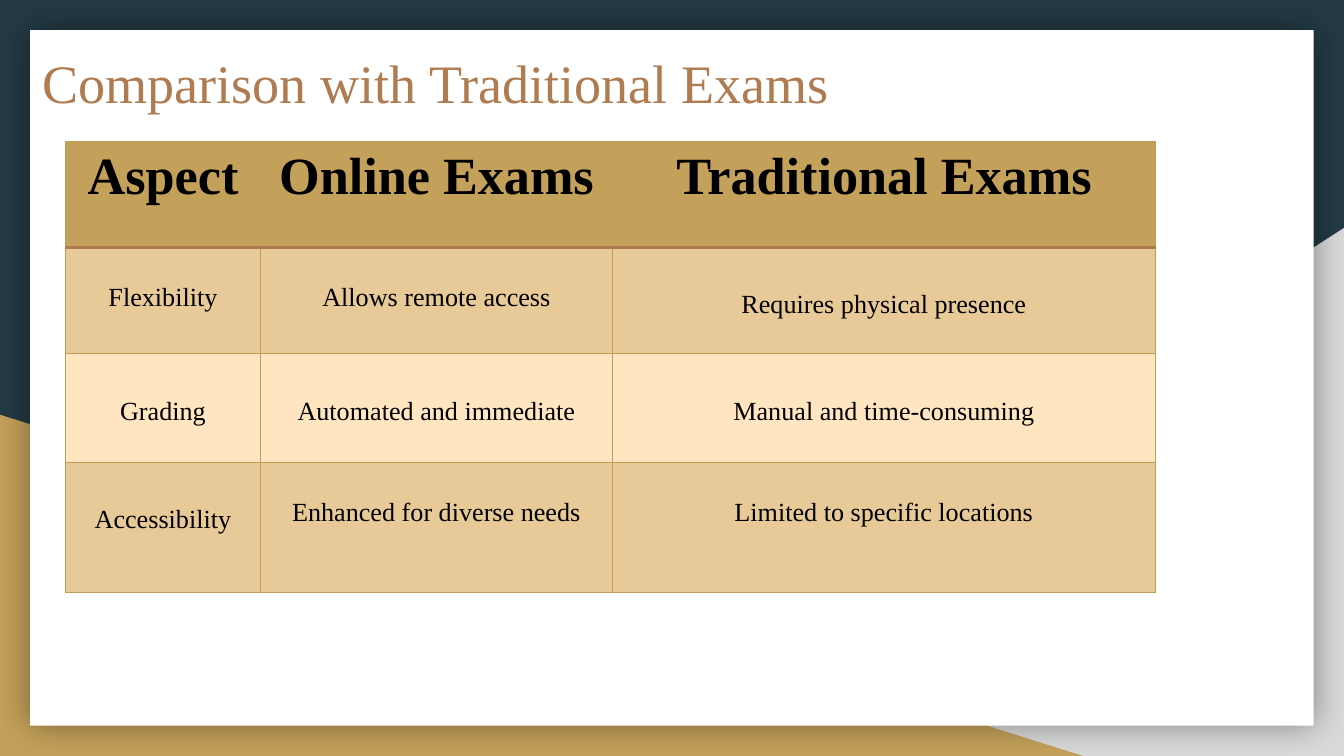
from collections import namedtuple
from dataclasses import dataclass

from lxml.etree import SubElement
from pptx import Presentation
from pptx.dml.color import RGBColor
from pptx.enum.shapes import MSO_SHAPE as Preset
from pptx.enum.text import MSO_ANCHOR as Anchor, PP_ALIGN as Align
from pptx.oxml.ns import qn
from pptx.util import Cm, Pt

Box = namedtuple("Box", "left top width height")


@dataclass(frozen=True)
class Theme:
    font: str = "Times New Roman"
    night: str = "233A44"
    silver: str = "D9D9D9"
    gold: str = "C4A15A"
    paper: str = "FFFFFF"
    bronze: str = "AF7B51"
    ink: str = "000000"
    band: str = "E7CA97"
    cream: str = "FFE5C0"
    grid: str = "C29E55"
    title_size: int = 29
    header_size: int = 28
    body_size: int = 14


THEME = Theme()
HEADINGS = ["Aspect", "Online Exams", "Traditional Exams"]
HIGH, LOW = 0.68, 0.82
COMPARISON = [
    [("Flexibility", HIGH), ("Allows remote access", HIGH),
     ("Requires physical presence", LOW)],
    [("Grading", LOW), ("Automated and immediate", LOW),
     ("Manual and time-consuming", LOW)],
    [("Accessibility", LOW), ("Enhanced for diverse needs", HIGH),
     ("Limited to specific locations", HIGH)],
]
COLUMN_SHARES = [1.45, 2.62, 4.04]
ROW_SHARES = [0.79, 0.79, 0.81, 0.97]


def rgb(color):
    return RGBColor.from_string(color)


def cm_box(box):
    return [Cm(length) for length in box]


def add_run(paragraph, text, size, color, bold=False):
    run = paragraph.add_run()
    run.text = text
    run.font.name = THEME.font
    run.font.size = Pt(size)
    run.font.bold = bold
    run.font.color.rgb = rgb(color)


def add_panel(slide, preset, box, color):
    panel = slide.shapes.add_shape(preset, *cm_box(box))
    panel.shadow.inherit = False
    panel.fill.solid()
    panel.fill.fore_color.rgb = rgb(color)
    panel.line.fill.background()
    return panel


def add_glow(panel):
    effects = panel._element.spPr.find(qn("a:effectLst"))
    shadow = SubElement(effects, qn("a:outerShdw"), blurRad=str(Pt(18)), dist="0", dir="0")
    color = SubElement(shadow, qn("a:srgbClr"), val=THEME.ink)
    SubElement(color, qn("a:alpha"), val="40000")


def draw_backdrop(slide, box):
    slide.background.fill.solid()
    slide.background.fill.fore_color.rgb = rgb(THEME.night)
    right, bottom = box.left + box.width, box.top + box.height
    silver = Box(right - 15.44, bottom - 9.98, 15.44, 9.98)
    corner = add_panel(slide, Preset.RIGHT_TRIANGLE, silver, THEME.silver)
    corner._element.spPr.xfrm.set("flipH", "1")
    gold = Box(box.left, bottom - 6.45, 20.47, 6.45)
    add_panel(slide, Preset.RIGHT_TRIANGLE, gold, THEME.gold)
    margin = 0.57
    sheet = Box(box.left + margin, box.top + margin,
                box.width - 2 * margin, box.height - 2 * margin)
    add_glow(add_panel(slide, Preset.RECTANGLE, sheet, THEME.paper))


def draw_title(slide, box):
    title = slide.shapes.add_textbox(*cm_box(box)).text_frame
    title.word_wrap = True
    title.vertical_anchor = Anchor.TOP
    title.margin_left = title.margin_right = Cm(0.25)
    title.margin_top = Cm(0.38)
    add_run(title.paragraphs[0], "Comparison with Traditional Exams",
            THEME.title_size, THEME.bronze)


def set_borders(cell, edges):
    properties = cell._tc.get_or_add_tcPr()
    for position, (side, (color, width)) in enumerate(edges.items()):
        line = SubElement(properties, qn(f"a:ln{side}"), w=str(Pt(width)))
        fill = SubElement(line, qn("a:solidFill"))
        SubElement(fill, qn("a:srgbClr"), val=color)
        properties.insert(position, line)


def fill_cell(cell, text, top, size, fill, edges, bold=False):
    cell.fill.solid()
    cell.fill.fore_color.rgb = rgb(fill)
    cell.vertical_anchor = Anchor.TOP
    cell.margin_top = Cm(top)
    paragraph = cell.text_frame.paragraphs[0]
    paragraph.alignment = Align.CENTER
    add_run(paragraph, text, size, THEME.ink, bold)
    set_borders(cell, edges)


def draw_comparison(slide, box):
    table = slide.shapes.add_table(
        len(ROW_SHARES), len(COLUMN_SHARES), *cm_box(box)).table
    table.first_row = table.horz_banding = False
    for column, share in zip(table.columns, COLUMN_SHARES):
        column.width = Cm(box.width * share / sum(COLUMN_SHARES))
    for row, share in zip(table.rows, ROW_SHARES):
        row.height = Cm(box.height * share / sum(ROW_SHARES))

    thin, rule = (THEME.grid, 0.75), (THEME.bronze, 2)
    plain = dict.fromkeys("LRTB", thin)
    for column, heading in enumerate(HEADINGS):
        fill_cell(table.cell(0, column), heading, 0.13, THEME.header_size,
                  THEME.gold, {**plain, "B": rule}, bold=True)
    for row, entries in enumerate(COMPARISON, start=1):
        fill = THEME.band if row % 2 else THEME.cream
        edges = {**plain, "T": rule} if row == 1 else plain
        for column, (text, top) in enumerate(entries):
            fill_cell(table.cell(row, column), text, top, THEME.body_size, fill, edges)


def main():
    page = Box(0, 0, 25.4, 14.29)
    deck = Presentation()
    deck.slide_width, deck.slide_height = Cm(page.width), Cm(page.height)
    slide = deck.slides.add_slide(deck.slide_layouts[6])
    draw_backdrop(slide, page)
    draw_title(slide, Box(0.55, 0.55, 18.77, 2.1))
    draw_comparison(slide, Box(1.24, 2.67, 20.6, 8.53))
    deck.save("out.pptx")


if __name__ == "__main__":
    main()
